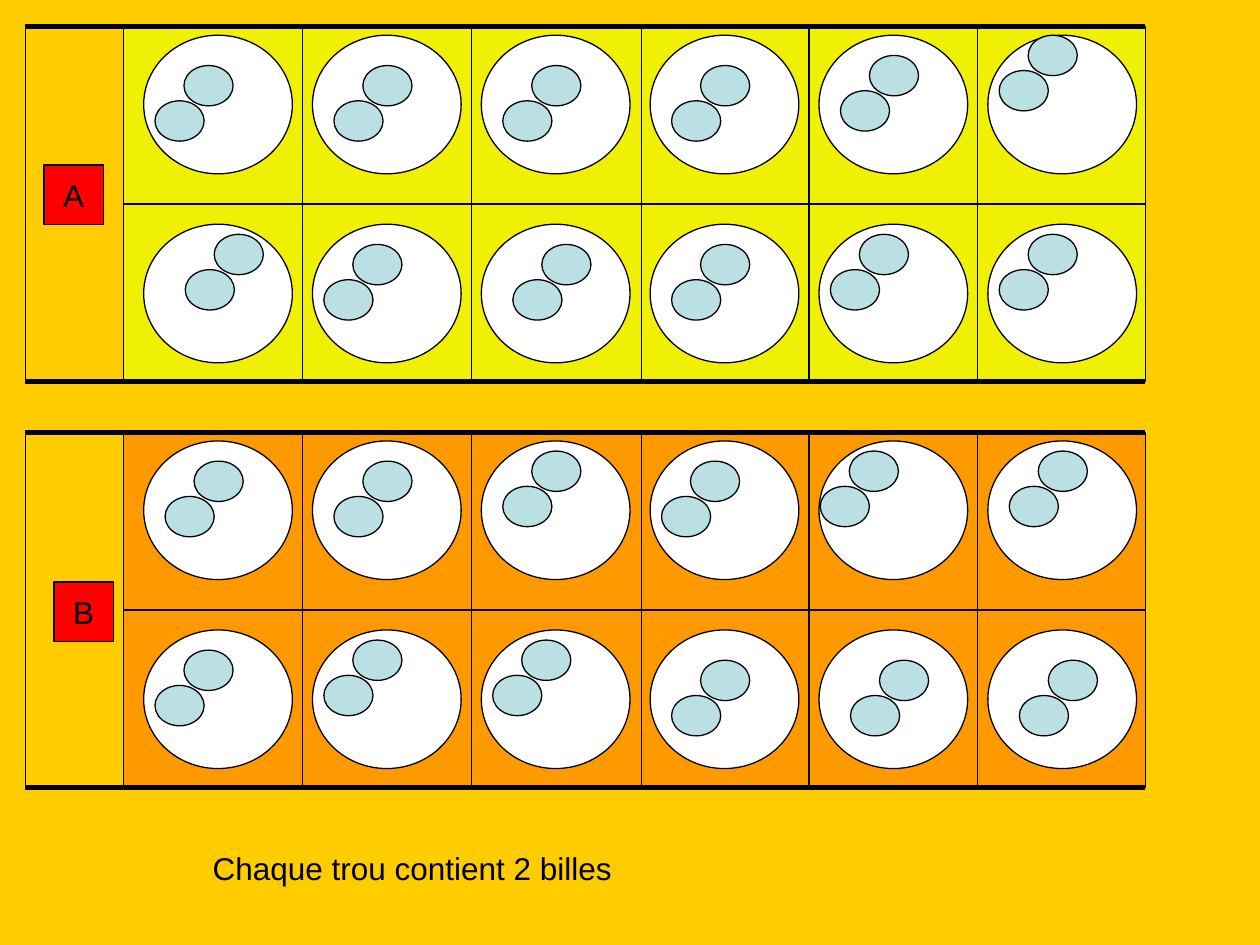
import pptx
import pptx.dml.color
import pptx.enum.shapes
import pptx.enum.text
import pptx.oxml.ns
import pptx.util
from lxml import etree

SHAPE = pptx.enum.shapes.MSO_SHAPE
ALIGN = pptx.enum.text.PP_ALIGN
BLACK = "000000"

# Board grid, in inches
BOARD_LEFT = 0.2
COLUMN_EDGES = [0.98, 2.4, 3.74, 5.09, 6.42, 7.76, 9.09]
ROW_HEIGHT = 1.41
HOLE_LEFT, HOLE_PITCH, HOLE_SIZE = 1.14, 1.34, (1.18, 1.1)
HOLE_TOPS = [0.07, 1.57]  # below the top of the board

# Marbles
MARBLE_SIZE = (0.39, 0.32)
MARBLE_STEP = 0.08
SECOND_MARBLE = (-0.23, 0.28)

# Per board: label, top, cell colour, label place, and for each row of holes
# the (across, down) steps from the hole's corner to its upper marble
BOARDS = [
    ("A", 0.21, "F0F004", (0.35, 1.31),
     [[(4, 3), (5, 3), (5, 3), (5, 3), (5, 2), (4, 0)],
      [(7, 1), (4, 2), (6, 2), (5, 2), (4, 1), (4, 1)]]),
    ("B", 3.43, "FF9900", (0.43, 4.62),
     [[(5, 2), (5, 2), (5, 1), (4, 2), (3, 1), (5, 1)],
      [(4, 2), (4, 1), (4, 1), (5, 3), (6, 3), (6, 3)]]),
]


def color(hex_code):
    return pptx.dml.color.RGBColor.from_string(hex_code)


def inches(*lengths):
    return [pptx.util.Inches(length) for length in lengths]


def add_outlined(parent, kind, left, top, width, height, fill=None):
    outlined = parent.add_shape(kind, *inches(left, top, width, height))
    outlined.shadow.inherit = False
    if fill:
        outlined.fill.solid()
        outlined.fill.fore_color.rgb = color(fill)
    else:
        outlined.fill.background()
    outlined.line.color.rgb = color(BLACK)
    outlined.line.width = pptx.util.Pt(0.75)
    return outlined


def add_rule(parent, left, y, weight):
    rule = parent.add_connector(
        pptx.enum.shapes.MSO_CONNECTOR.STRAIGHT,
        *inches(left, y, COLUMN_EDGES[-1], y))
    rule.line.color.rgb = color(BLACK)
    rule.line.width = pptx.util.Pt(weight)
    properties = rule.element.find(pptx.oxml.ns.qn("p:spPr"))
    etree.SubElement(properties, pptx.oxml.ns.qn("a:effectLst"))


def write(holder, text, align):
    frame = holder.text_frame
    frame.word_wrap = False
    frame.text = text
    paragraph = frame.paragraphs[0]
    paragraph.alignment = align
    font = paragraph.runs[0].font
    font.name = "Arial"
    font.size = pptx.util.Pt(18)
    font.color.rgb = color(BLACK)


def hole_corner(board_top, row, column):
    return HOLE_LEFT + column * HOLE_PITCH, board_top + HOLE_TOPS[row]


def add_board(slide, top, cell_color, marbles):
    board = slide.shapes.add_group_shape().shapes
    middle, bottom = top + ROW_HEIGHT, top + 2 * ROW_HEIGHT

    # Cells and the label column
    for cell_top in (top, middle):
        for left, right in zip(COLUMN_EDGES, COLUMN_EDGES[1:]):
            add_outlined(board, SHAPE.RECTANGLE, left, cell_top,
                         right - left, ROW_HEIGHT, cell_color)
    add_outlined(board, SHAPE.RECTANGLE, BOARD_LEFT, top,
                 COLUMN_EDGES[0] - BOARD_LEFT, 2 * ROW_HEIGHT)

    # Heavy outer rules and the divider between rows
    add_rule(board, BOARD_LEFT, top, 3)
    add_rule(board, BOARD_LEFT, bottom, 3)
    add_rule(board, COLUMN_EDGES[0], middle, 1)

    # Holes
    for row, row_marbles in enumerate(marbles):
        for column in range(len(row_marbles)):
            add_outlined(board, SHAPE.OVAL, *hole_corner(top, row, column),
                         *HOLE_SIZE, "FFFFFF")


def add_marble_pair(slide, left, top):
    pair = slide.shapes.add_group_shape().shapes
    for across, down in ((0, 0), SECOND_MARBLE):
        add_outlined(pair, SHAPE.OVAL, left + across, top + down,
                     *MARBLE_SIZE, "BBE0E3")


def add_marbles(slide, board_top, marbles):
    for row, row_marbles in enumerate(marbles):
        for column, (across, down) in enumerate(row_marbles):
            left, top = hole_corner(board_top, row, column)
            add_marble_pair(slide, left + across * MARBLE_STEP,
                            top + down * MARBLE_STEP)


def add_label(slide, text, place):
    label = add_outlined(slide.shapes, SHAPE.RECTANGLE, *place,
                         0.47, 0.47, "FF0000")
    label.text_frame.vertical_anchor = pptx.enum.text.MSO_ANCHOR.MIDDLE
    write(label, text, ALIGN.CENTER)


def add_caption(slide, text):
    caption = slide.shapes.add_textbox(*inches(1.59, 6.69, 3.37, 0.4))
    write(caption, text, ALIGN.LEFT)
    caption.text_frame.auto_size = (
        pptx.enum.text.MSO_AUTO_SIZE.SHAPE_TO_FIT_TEXT)


def main():
    deck = pptx.Presentation()
    deck.slide_width, deck.slide_height = inches(10, 7.5)
    slide = deck.slides.add_slide(deck.slide_layouts[6])
    slide.background.fill.solid()
    slide.background.fill.fore_color.rgb = color("FFCC00")

    for label, top, cell_color, place, marbles in BOARDS:
        add_board(slide, top, cell_color, marbles)
        add_marbles(slide, top, marbles)
        add_label(slide, label, place)
    add_caption(slide, "Chaque trou contient 2 billes")

    deck.save("out.pptx")


if __name__ == "__main__":
    main()
